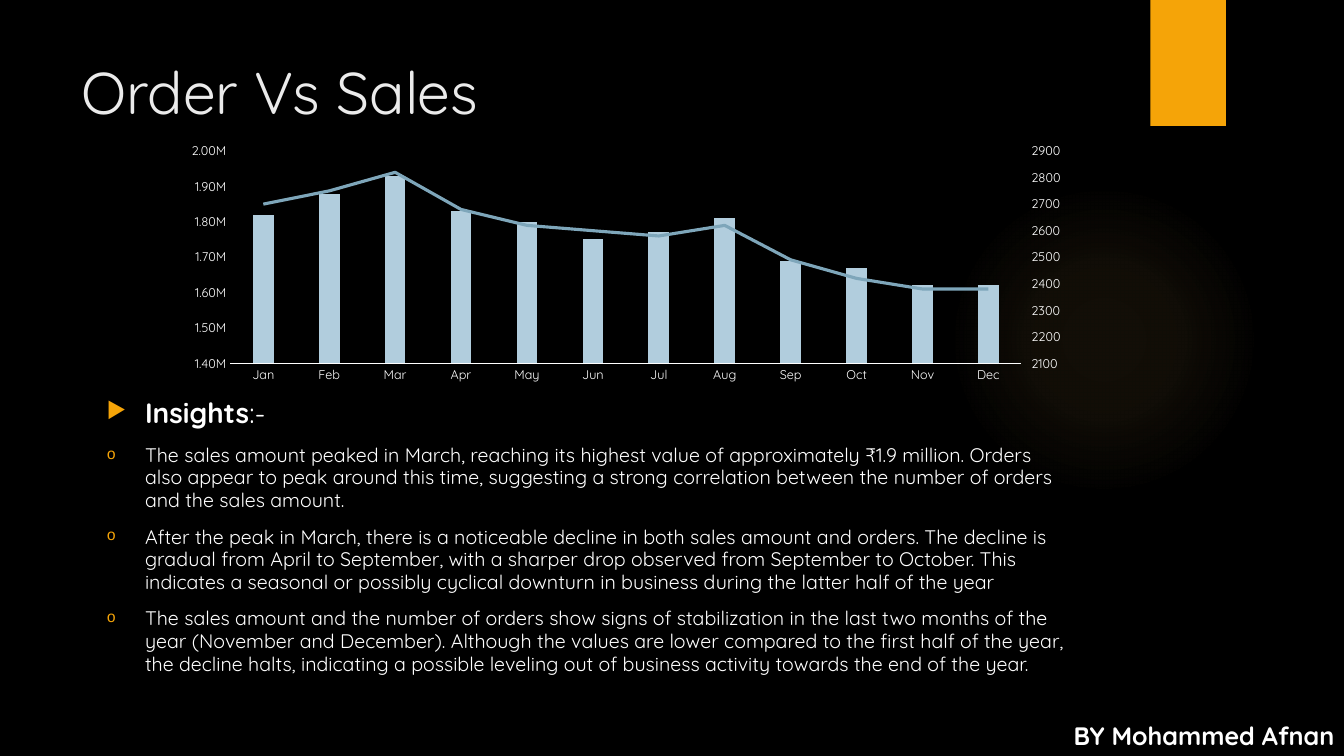
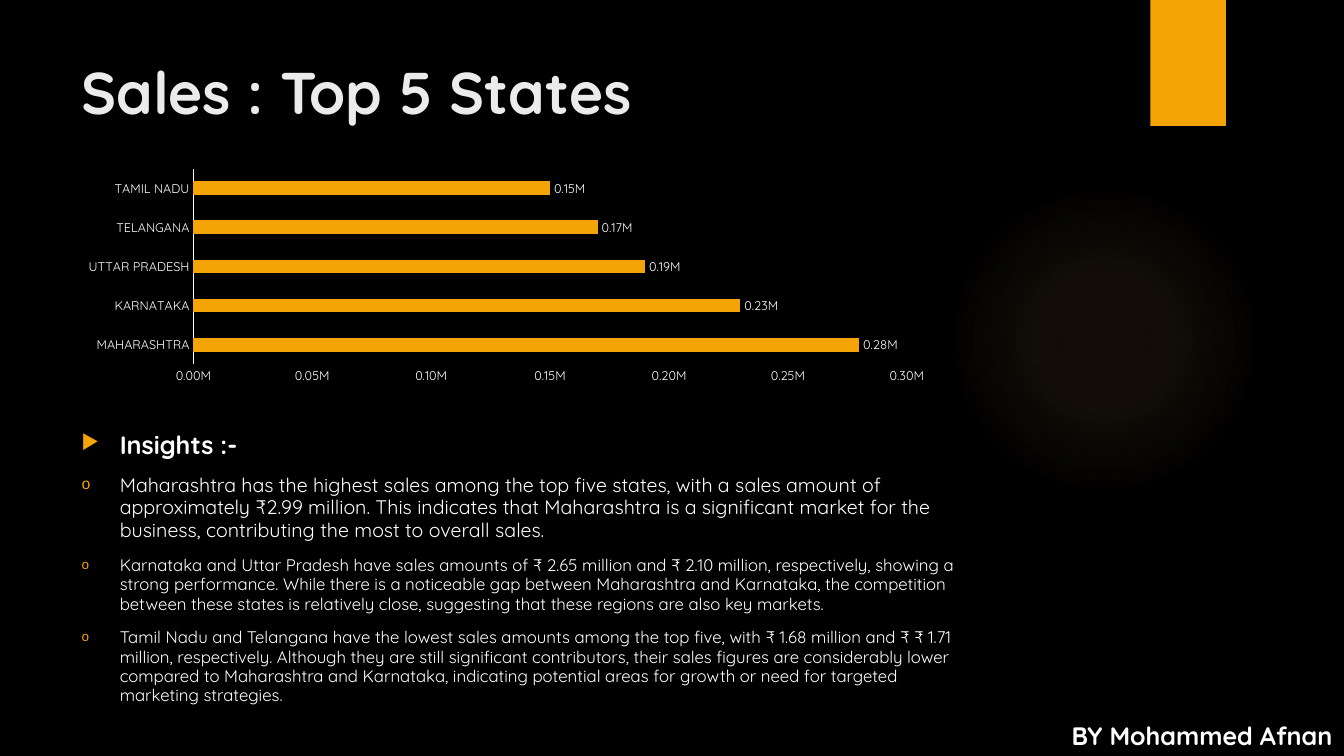
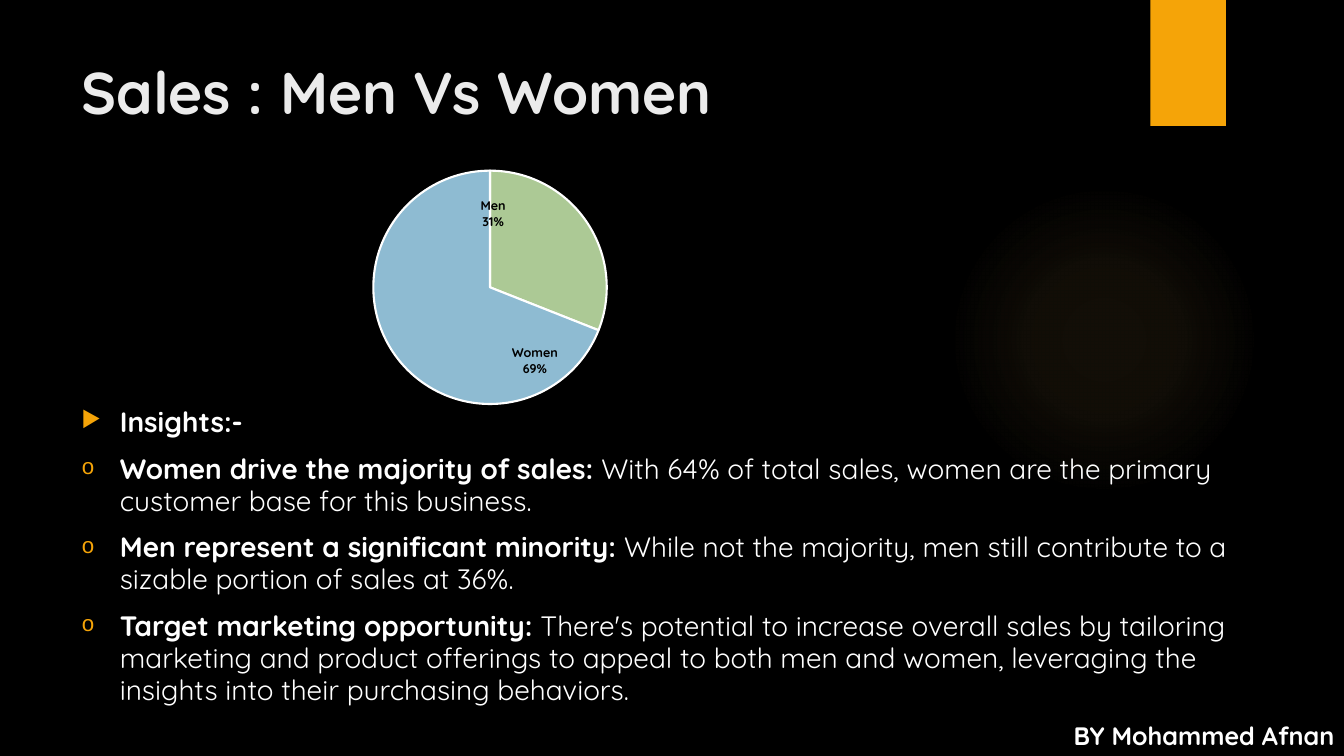
from lxml import etree
from pptx import Presentation
from pptx import util as u
from pptx.chart.data import CategoryChartData
from pptx.dml.color import RGBColor
from pptx.enum import chart as ch, shapes, text
from pptx.oxml import parse_xml
from pptx.oxml.ns import nsdecls, qn

W, H = 13.33, 7.5
FONT = "Quicksand"
WHITE, BLACK, AMBER, GLOW, TITLE = "FFFFFF", "000000", "F5A408", "FAC96A", "EBEBEB"
COLUMN, LINE, MEN, WOMEN = "B1CDDD", "7EA6BA", "ACC995", "8EBBD2"
MILLIONS = '0.00,,"M"'
INDENT = u.Inches(0.38)


def rgb(value):
    return RGBColor.from_string(value)


def box(x, y, w, h):
    return [u.Inches(round(size * share / 100, 2))
            for size, share in ((W, x), (H, y), (W, w), (H, h))]


def style(font, size, color=WHITE, bold=False):
    font.name, font.size, font.bold = FONT, u.Pt(size), bold
    font.color.rgb = rgb(color)


def add_run(p, content, **fmt):
    r = p.add_run()
    r.text = content
    style(r.font, **fmt)


def text_frame(s, place):
    tf = s.shapes.add_textbox(*box(*place)).text_frame
    tf.word_wrap = True
    tf.vertical_anchor = text.MSO_ANCHOR.TOP
    return tf


def add_text(s, place, content, **fmt):
    add_run(text_frame(s, place).paragraphs[0], content, **fmt)


def add_bullet(p, char):
    ppr = p._p.get_or_add_pPr()
    ppr.set("marL", str(INDENT))
    ppr.set("indent", str(-INDENT))
    color = etree.SubElement(ppr, qn("a:buClr"))
    etree.SubElement(color, qn("a:srgbClr"), val=AMBER)
    etree.SubElement(ppr, qn("a:buSzPct"), val="80000")
    if char == "o":
        etree.SubElement(ppr, qn("a:buFont"), typeface="Courier New")
    etree.SubElement(ppr, qn("a:buChar"), char=char)


def add_insights(s, place, paragraphs):
    tf = text_frame(s, place)
    for i, runs in enumerate(paragraphs):
        p = tf.add_paragraph() if i else tf.paragraphs[0]
        p.space_before = u.Pt(10 if i else 0)
        p.line_spacing = 0.96
        add_bullet(p, "o" if i else "▶")
        for content, size, bold in runs:
            add_run(p, content, size=size, bold=bold)


def add_plain(s, kind, place, color):
    sp = s.shapes.add_shape(kind, *box(*place))
    sp.shadow.inherit = False
    sp.fill.solid()
    sp.fill.fore_color.rgb = rgb(color)
    sp.line.fill.background()
    return sp


def add_glow(s):
    sp = add_plain(s, shapes.MSO_SHAPE.OVAL, (70.59, 24.4, 23.11, 41.07), GLOW)
    stops = "".join(
        f'<a:gs pos="{pos * 1000}"><a:srgbClr val="{GLOW}"><a:alpha val="{alpha * 1000}"/></a:srgbClr></a:gs>'
        for pos, alpha in ((0, 7), (36, 6), (69, 0), (100, 0)))
    grad = parse_xml(
        f'<a:gradFill {nsdecls("a")} rotWithShape="1"><a:gsLst>{stops}</a:gsLst><a:path path="circle">'
        '<a:fillToRect l="50000" t="50000" r="50000" b="50000"/></a:path></a:gradFill>')
    solid = sp._element.spPr.find(qn("a:solidFill"))
    solid.getparent().replace(solid, grad)


def add_page(prs, title, bold=True, footer_x=78.62):
    s = prs.slides.add_slide(prs.slide_layouts[6])
    s.background.fill.solid()
    s.background.fill.fore_color.rgb = rgb(BLACK)
    add_glow(s)
    add_plain(s, shapes.MSO_SHAPE.RECTANGLE, (85.6, 0, 5.63, 16.67), AMBER)
    add_text(s, (5.33, 6.67, 77.19, 20.4), title, size=42, color=TITLE, bold=bold)
    add_text(s, (footer_x, 94.67, 23.56, 5.33), " BY Mohammed Afnan", size=18, bold=True)
    return s


def layout_xml(x, y, w=None, h=None):
    parts = "" if w is None else '<c:layoutTarget val="inner"/><c:xMode val="edge"/><c:yMode val="edge"/>'
    for tag, value in zip("xywh", (x, y, w, h)):
        if value is not None:
            parts += f'<c:{tag} val="{value}"/>'
    return parse_xml(f'<c:layout {nsdecls("c")}><c:manualLayout>{parts}</c:manualLayout></c:layout>')


def add_chart(s, kind, place, cats, series, plot):
    data = CategoryChartData()
    data.categories = cats
    for i, values in enumerate(series, 1):
        data.add_series(f"Series {i}", values)
    chart = s.shapes.add_chart(kind, *box(*place), data).chart
    chart.has_legend = chart.has_title = False
    style(chart.font, 10)
    area = chart._chartSpace.chart.plotArea
    for old in area.findall(qn("c:layout")):
        area.remove(old)
    area.insert(0, layout_xml(*plot))
    return chart


def style_axes(chart, low, high, step, gap):
    cat, val = chart.category_axis, chart.value_axis
    for axis in (cat, val):
        axis.has_major_gridlines = False
        axis.major_tick_mark = axis.minor_tick_mark = ch.XL_TICK_MARK.NONE
        style(axis.tick_labels.font, 9)
    cat.format.line.color.rgb = rgb(WHITE)
    cat.format.line.width = u.Pt(0.75)
    val.format.line.fill.background()
    val.minimum_scale, val.maximum_scale, val.major_unit = low, high, step
    val.tick_labels.number_format = MILLIONS
    val.tick_labels.number_format_is_linked = False
    chart.plots[0].gap_width = gap
    chart.plots[0].vary_by_categories = False


def fill_series(series, color):
    series.format.fill.solid()
    series.format.fill.fore_color.rgb = rgb(color)


def move_to_right_axis(chart, low, high, step):
    area = chart._chartSpace.chart.plotArea
    bars = area.find(qn("c:barChart"))
    ser = bars.findall(qn("c:ser"))[1]
    for flag in ser.findall(qn("c:invertIfNegative")):
        ser.remove(flag)
    lines = parse_xml(
        f'<c:lineChart {nsdecls("c")}><c:grouping val="standard"/><c:varyColors val="0"/>'
        '<c:marker val="1"/><c:axId val="501"/><c:axId val="502"/></c:lineChart>')
    lines.insert(2, ser)
    bars.addnext(lines)
    series = chart.plots[1].series[0]
    series.smooth = False
    series.marker.style = ch.XL_MARKER_STYLE.NONE
    series.format.line.color.rgb = rgb(LINE)
    series.format.line.width = u.Pt(2.25)
    right = parse_xml(
        f'<c:valAx {nsdecls("c", "a")}><c:axId val="502"/><c:scaling><c:orientation val="minMax"/>'
        f'<c:max val="{high}"/><c:min val="{low}"/></c:scaling><c:delete val="0"/><c:axPos val="r"/>'
        '<c:numFmt formatCode="General" sourceLinked="0"/><c:majorTickMark val="out"/>'
        '<c:minorTickMark val="none"/><c:tickLblPos val="nextTo"/>'
        '<c:spPr><a:ln><a:noFill/></a:ln></c:spPr>'
        f'<c:txPr><a:bodyPr/><a:p><a:pPr><a:defRPr sz="900"><a:solidFill><a:srgbClr val="{WHITE}"/>'
        f'</a:solidFill><a:latin typeface="{FONT}"/></a:defRPr></a:pPr></a:p></c:txPr>'
        f'<c:crossAx val="501"/><c:crosses val="max"/><c:majorUnit val="{step}"/></c:valAx>')
    hidden = parse_xml(
        f'<c:catAx {nsdecls("c")}><c:axId val="501"/><c:scaling><c:orientation val="minMax"/></c:scaling>'
        '<c:delete val="1"/><c:axPos val="b"/><c:crossAx val="502"/></c:catAx>')
    area.find(qn("c:valAx")).addnext(right)
    right.addnext(hidden)


def label_slice(series, i, color, shift):
    point = series.points[i]
    point.format.fill.solid()
    point.format.fill.fore_color.rgb = rgb(color)
    point.format.line.color.rgb = rgb(WHITE)
    point.format.line.width = u.Pt(1.5)
    label = point.data_label
    style(label.font, 9, BLACK, True)
    label.position = ch.XL_LABEL_POSITION.OUTSIDE_END
    node = series._element.find(qn("c:dLbls")).findall(qn("c:dLbl"))[i]
    node.find(qn("c:idx")).addnext(layout_xml(*shift))
    for tag, shown in (("showVal", "0"), ("showCatName", "1"), ("showPercent", "1")):
        node.find(qn("c:" + tag)).set("val", shown)
    etree.SubElement(node, qn("c:separator")).text = "\n"


def order_slide(prs):
    s = add_page(prs, "Order Vs Sales", bold=False)
    months = "Jan Feb Mar Apr May Jun Jul Aug Sep Oct Nov Dec".split()
    sales = [n * 10000 for n in (182, 188, 193, 183, 180, 175, 177, 181, 169, 167, 162, 162)]
    orders = [2700, 2750, 2820, 2680, 2620, 2600, 2580, 2620, 2490, 2420, 2380, 2380]
    chart = add_chart(s, ch.XL_CHART_TYPE.COLUMN_CLUSTERED, (7.2, 11.07, 76.44, 42.53),
                      months, [sales, orders], (0.13, 0.21, 0.77, 0.66))
    style_axes(chart, 1400000, 2000000, 100000, 219)
    chart.plots[0].overlap = -27
    fill_series(chart.plots[0].series[0], COLUMN)
    move_to_right_axis(chart, 2100, 2900, 100)
    add_insights(s, (7.2, 52, 73.37, 46.8), [
        [("Insights", 20, True), (":-", 20, False)],
        [("The sales amount peaked in March, reaching its highest value of approximately ₹1.9 million. Orders also appear to peak around this time, suggesting a strong correlation between the number of orders and the sales amount.", 14, False)],
        [("After the peak in March, there is a noticeable decline in both sales amount and orders. The decline is gradual from April to September, with a sharper drop observed from September to October. This indicates a seasonal or possibly cyclical downturn in business during the latter half of the year", 14, False)],
        [("The sales amount and the number of orders show signs of stabilization in the last two months of the year (November and December). Although the values are lower compared to the first half of the year, the decline halts, indicating a possible leveling out of business activity towards the end of the year.", 14, False)],
    ])


def state_slide(prs):
    s = add_page(prs, "Sales : Top 5 States", footer_x=78.47)
    states = ["MAHARASHTRA", "KARNATAKA", "UTTAR PRADESH", "TELANGANA", "TAMIL NADU"]
    chart = add_chart(s, ch.XL_CHART_TYPE.BAR_CLUSTERED, (5.33, 21.73, 64.74, 29.73), states,
                      [[280000, 230000, 190000, 170000, 150000]], (0.14, 0.02, 0.82, 0.87))
    style_axes(chart, 0, 300000, 50000, 182)
    series = chart.plots[0].series[0]
    fill_series(series, AMBER)
    labels = series.data_labels
    labels.show_value = True
    labels.number_format, labels.number_format_is_linked = MILLIONS, False
    labels.position = ch.XL_LABEL_POSITION.OUTSIDE_END
    style(labels.font, 9)
    add_insights(s, (5.33, 56.4, 66.69, 43.6), [
        [("Insights :-", 18, True)],
        [("Maharashtra has the highest sales among the top five states, with a sales amount of approximately ₹2.99 million. This indicates that Maharashtra is a significant market for the business, contributing the most to overall sales.", 14, False)],
        [("Karnataka and Uttar Pradesh have sales amounts of ₹ 2.65 million and ₹ 2.10 million, respectively, showing a strong performance. While there is a noticeable gap between Maharashtra and Karnataka, the competition between these states is relatively close, suggesting that these regions are also key markets.", 12, False)],
        [("Tamil Nadu and Telangana have the lowest sales amounts among the top five, with ₹ 1.68 million and ₹ ₹ 1.71 million, respectively. Although they are still significant contributors, their sales figures are considerably lower compared to Maharashtra and Karnataka, indicating potential areas for growth or need for targeted marketing strategies.", 12, False)],
    ])


def gender_slide(prs):
    s = add_page(prs, "Sales : Men Vs Women")
    chart = add_chart(s, ch.XL_CHART_TYPE.PIE, (13.88, 19.6, 43.44, 37.2), ["Men", "Women"],
                      [[31, 69]], (0.32, 0.08, 0.4, 0.83))
    chart.plots[0].vary_by_categories = True
    for i, (color, shift) in enumerate(((MEN, (-0.19, 0.04)), (WOMEN, (0.29, -0.04)))):
        label_slice(chart.plots[0].series[0], i, color, shift)
    points = [
        ("Women drive the majority of sales:", " With 64% of total sales, women are the primary customer base for this business."),
        ("Men represent a significant minority:", " While not the majority, men still contribute to a sizable portion of sales at 36%."),
        ("Target marketing opportunity:", " There's potential to increase overall sales by tailoring marketing and product offerings to appeal to both men and women, leveraging the insights into their purchasing behaviors."),
    ]
    add_insights(s, (5.33, 53.2, 90.62, 44.93), [[("Insights:-", 20, True)]] + [
        [(lead, 20, True), (rest, 20, False)] for lead, rest in points])


def main():
    prs = Presentation()
    prs.slide_width, prs.slide_height = u.Inches(W), u.Inches(H)
    order_slide(prs)
    state_slide(prs)
    gender_slide(prs)
    prs.save("out.pptx")


if __name__ == "__main__":
    main()
